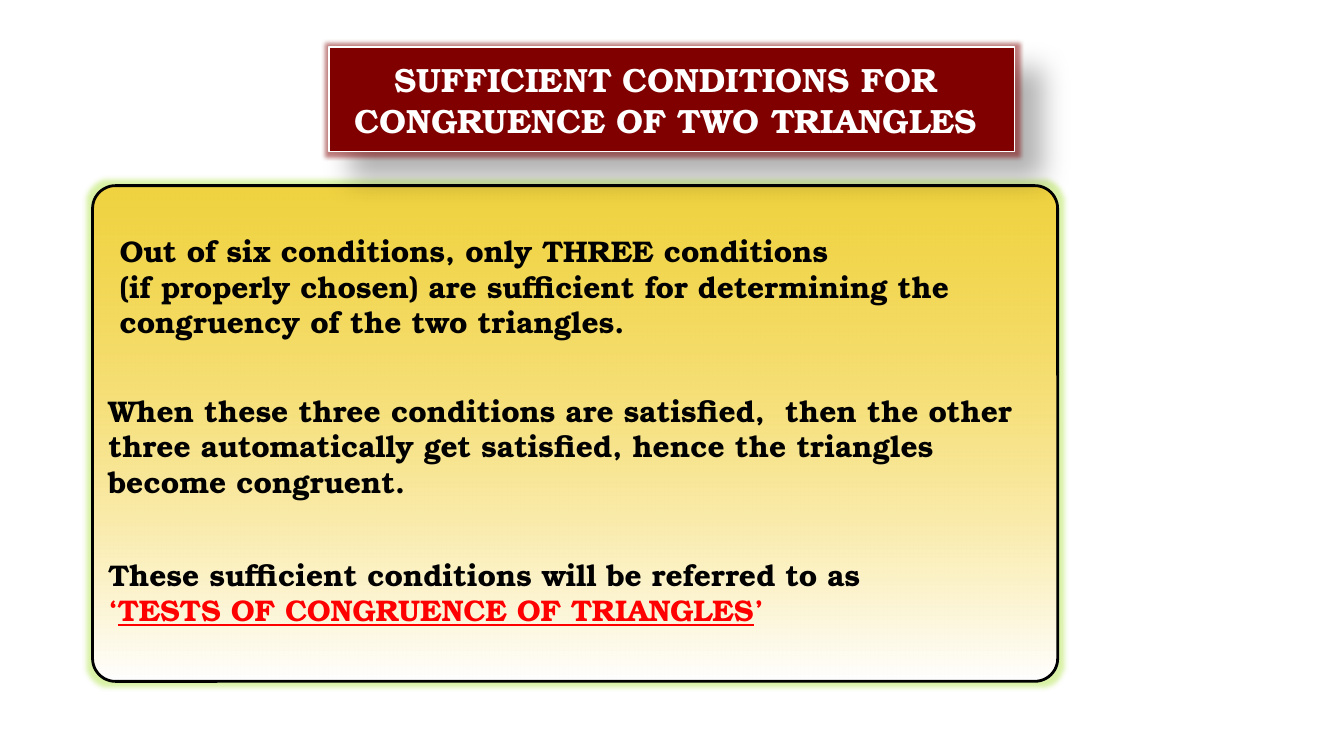
from lxml.etree import SubElement as Sub
from pptx import Presentation
from pptx.dml.color import RGBColor
from pptx.enum.shapes import MSO_SHAPE as Kind
from pptx.enum.text import MSO_ANCHOR as Anchor, MSO_AUTO_SIZE as Fit, PP_ALIGN as Align
from pptx.oxml.ns import qn
from pptx.util import Cm, Pt

FONT = "TeX Gyre Bonum"
BLACK = RGBColor(0, 0, 0)
WHITE = RGBColor(255, 255, 255)
RED = RGBColor(255, 0, 0)
MAROON = RGBColor(128, 0, 0)
GOLD = RGBColor(255, 192, 0)
LIME = RGBColor(177, 227, 73)


def write(frame, lines, size=16, color=BLACK, align=Align.LEFT):
    """Fill a frame, one paragraph a line; a line is a list of (text, color, underline) runs or a string."""
    frame.word_wrap = True
    for i, line in enumerate(lines):
        para = frame.paragraphs[0] if i == 0 else frame.add_paragraph()
        para.alignment = align
        runs = [(line, color, False)] if isinstance(line, str) else line
        for text, tint, under in runs:
            run = para.add_run()
            run.text = text
            font = run.font
            font.name, font.size, font.bold = FONT, Pt(size), True
            font.color.rgb = tint
            font.underline = under


def effect(shape, tag, color, alpha, **attrs):
    """Add a glow or a shadow; alpha is in percent."""
    shape.shadow.inherit = False if shape.shadow.inherit else shape.shadow.inherit
    node = Sub(shape.element.spPr.find(qn("a:effectLst")), qn(tag), attrs)
    clr = Sub(node, qn("a:srgbClr"), val=str(color))
    Sub(clr, qn("a:alpha"), val=str(alpha * 1000))


deck = Presentation()
deck.slide_width, deck.slide_height = Cm(25.4), Cm(14.29)
slide = deck.slides.add_slide(deck.slide_layouts[5])
shapes = slide.shapes

# Gold panel
panel = shapes.add_shape(Kind.ROUNDED_RECTANGLE, Cm(1.75), Cm(3.51), Cm(18.24), Cm(9.37))
panel.adjustments[0] = 0.046
panel.fill.gradient()
panel.fill.gradient_angle = 270
first, last = panel.fill.gradient_stops
first.position, last.position = 0, 1
first.color.rgb, last.color.rgb = GOLD, WHITE
clr = panel.element.spPr.find(".//" + qn("a:srgbClr"))
Sub(clr, qn("a:alpha"), val="61000")
panel.line.color.rgb = BLACK
panel.line.width = Pt(1.5)
panel.shadow.inherit = False
effect(panel, "a:glow", LIME, 50, rad=str(Pt(5)))

# Statements
notes = [
    (2.01, 4.27, 17.96, 2.31, [
        "Out of six conditions, only THREE conditions",
        "(if properly chosen) are sufficient for determining the",
        "congruency of the two triangles."]),
    (1.8, 7.29, 18.19, 2.31, [
        "When these three conditions are satisfied,  then the other",
        "three automatically get satisfied, hence the triangles",
        "become congruent."]),
    (1.8, 10.39, 18.19, 1.63, [
        "These sufficient conditions will be referred to as",
        [("‘", RED, False), ("TESTS OF CONGRUENCE OF TRIANGLES", RED, True), ("’", RED, False)]]),
]
for x, y, w, h, lines in notes:
    box = shapes.add_textbox(Cm(x), Cm(y), Cm(w), Cm(h))
    write(box.text_frame, lines)
    box.text_frame.auto_size = Fit.SHAPE_TO_FIT_TEXT

# Title banner, in front of the panel
title = shapes.title
title.left, title.top, title.width, title.height = Cm(6.22), Cm(0.89), Cm(12.95), Cm(1.98)
geom = Sub(title.element.spPr, qn("a:prstGeom"), prst="roundRect")
Sub(geom, qn("a:avLst"))
title.fill.solid()
title.fill.fore_color.rgb = MAROON
title.line.color.rgb = WHITE
title.line.width = Pt(0.75)
title.shadow.inherit = False
effect(title, "a:glow", MAROON, 50, rad=str(Pt(5)))
effect(title, "a:outerShdw", BLACK, 30, blurRad=str(Pt(15)), dist=str(Pt(18)),
       dir="2700000", algn="tl", rotWithShape="0")
write(title.text_frame, ["SUFFICIENT CONDITIONS FOR ", "CONGRUENCE OF TWO TRIANGLES "],
      size=18, color=WHITE, align=Align.CENTER)
title.text_frame.vertical_anchor = Anchor.MIDDLE
title.text_frame.auto_size = Fit.NONE
title.element.getparent().append(title.element)

deck.save("out.pptx")
